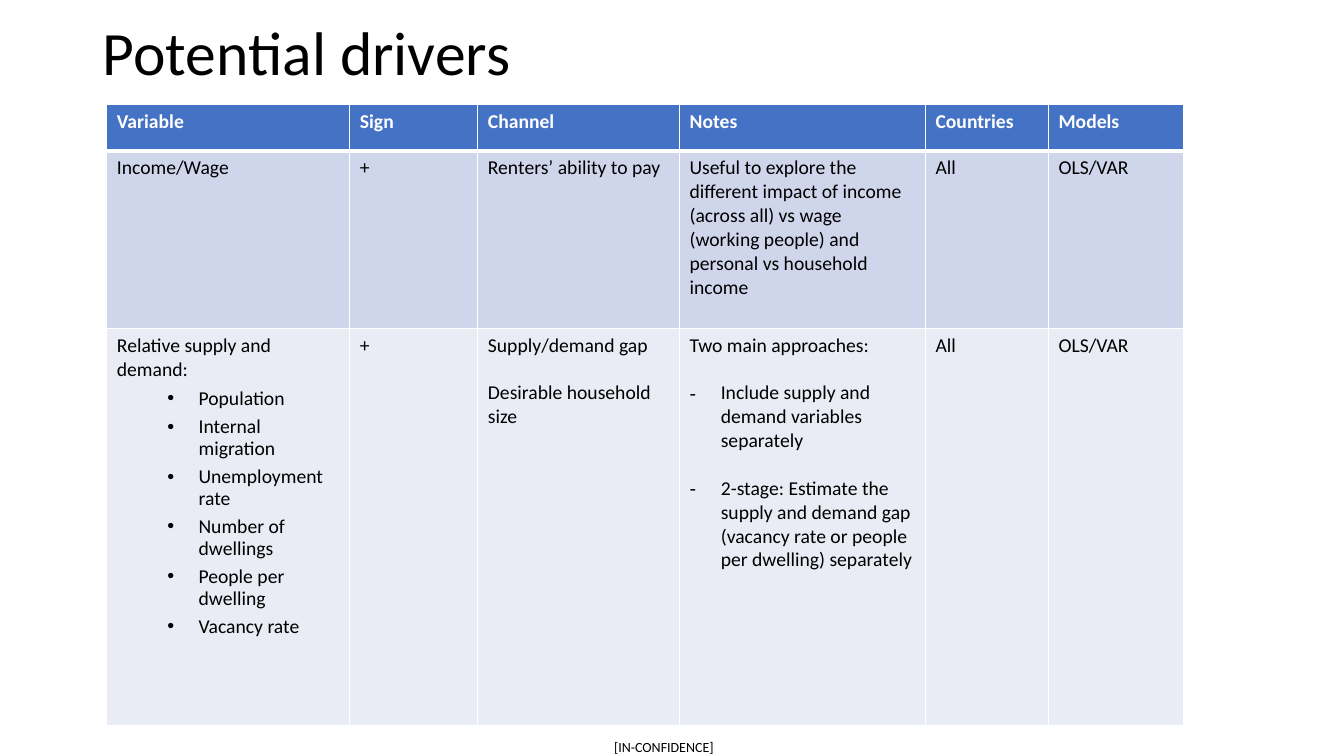
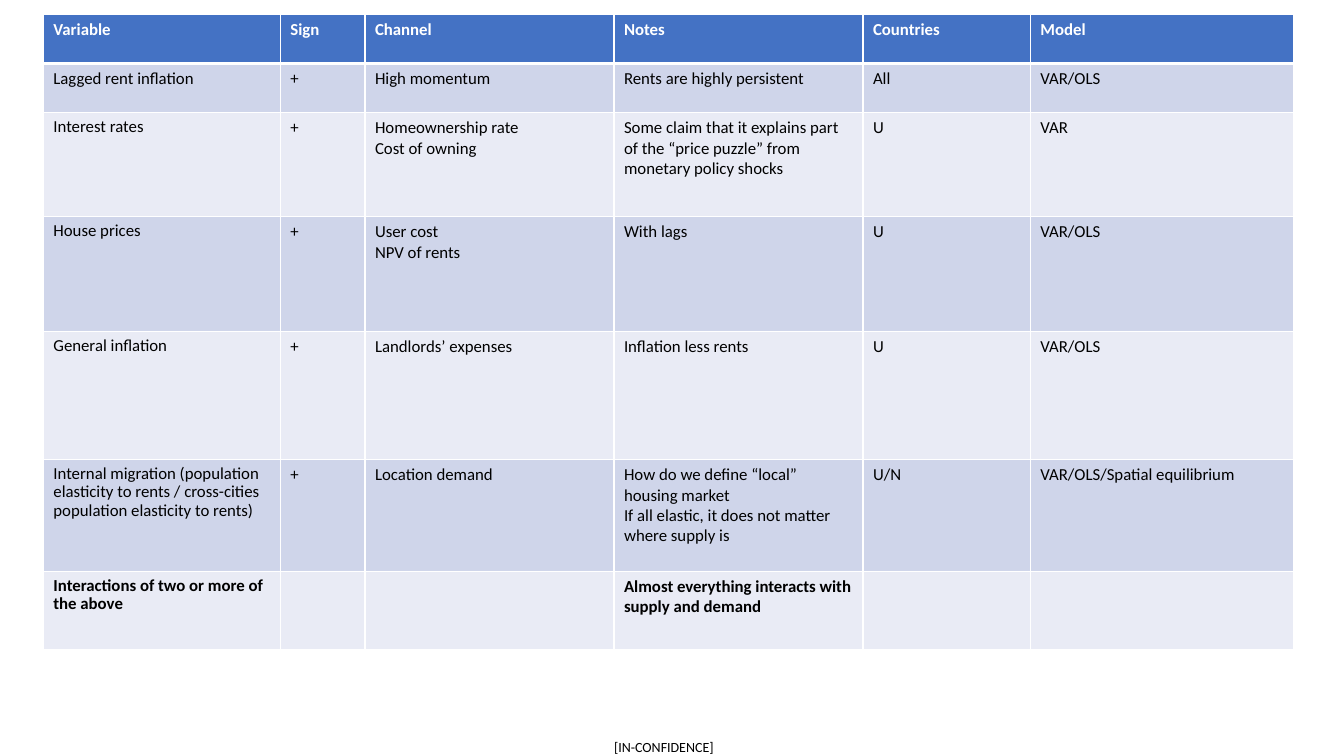
from dataclasses import dataclass

from lxml.etree import SubElement
from pptx import Presentation
from pptx.dml.color import RGBColor
from pptx.enum.text import MSO_ANCHOR, PP_ALIGN
from pptx.oxml.ns import qn
from pptx.util import Inches, Pt


@dataclass(frozen=True)
class Theme:
    font: str = "Calibri"
    ink: str = "000000"
    paper: str = "FFFFFF"
    header: str = "4472C4"
    bands: tuple[str, str] = ("CFD5EA", "E9EBF5")
    title_size: int = 44
    footer_size: int = 10
    rule: int = 1
    header_rule: int = 3


@dataclass(frozen=True)
class Style:
    indent: float = 0
    hanging: float = 0
    level: int = 0
    line_spacing: float | None = None
    space_before: int = 0
    bullet: str = ""


@dataclass(frozen=True)
class Line:
    text: str
    style: Style = Style()


@dataclass(frozen=True)
class DriverTable:
    left: float
    top: float
    columns: tuple[float, ...]
    heights: tuple[float, ...]
    size: int
    rows: tuple[tuple[str | tuple[Line, ...], ...], ...]
    bold_rows: tuple[int, ...] = (0,)


THEME = Theme()
TIGHT = Style(line_spacing=0.9)
SPACED = Style(space_before=17)
DOT = Style(0.81, 0.31, level=1, line_spacing=0.9, space_before=5, bullet="•")
DASH = Style(0.31, 0.31, space_before=17, bullet="-")


def tight(text: str) -> tuple[Line, ...]:
    return (Line(text, TIGHT),)


def lines(*texts: str) -> tuple[Line, ...]:
    return tuple(Line(text) for text in texts)


MAIN_DRIVERS = DriverTable(
    left=1.06,
    top=1.04,
    columns=(2.41, 1.27, 2, 2.44, 1.22, 1.34),
    heights=(0.46, 1.76, 3.94),
    size=14,
    rows=(
        ("Variable", "Sign", "Channel", "Notes", "Countries", "Models"),
        (
            "Income/Wage",
            "+",
            "Renters’ ability to pay",
            "Useful to explore the different impact of income (across all) vs wage "
            "(working people) and personal vs household income",
            "All",
            "OLS/VAR",
        ),
        (
            (
                Line("Relative supply and demand:"),
                Line("Population", DOT),
                Line("Internal migration", DOT),
                Line("Unemployment rate", DOT),
                Line("Number of dwellings", DOT),
                Line("People per dwelling", DOT),
                Line("Vacancy rate", DOT),
            ),
            "+",
            (Line("Supply/demand gap"), Line("Desirable household size", SPACED)),
            (
                Line("Two main approaches:"),
                Line("Include supply and demand variables separately", DASH),
                Line(
                    "2-stage: Estimate the supply and demand gap "
                    "(vacancy rate or people per dwelling) separately",
                    DASH,
                ),
            ),
            "All",
            "OLS/VAR",
        ),
    ),
)

OTHER_DRIVERS = DriverTable(
    left=0.43,
    top=0.14,
    columns=(2.35, 0.84, 2.47, 2.47, 1.66, 2.61),
    heights=(0.49, 0.49, 1.03, 1.14, 1.27, 1.11, 0.78),
    size=12,
    bold_rows=(0, 6),
    rows=(
        ("Variable", "Sign", "Channel", "Notes", "Countries", "Model"),
        ("Lagged rent inflation", "+", "High momentum",
         "Rents are highly persistent", "All", "VAR/OLS"),
        (tight("Interest rates"), "+", lines("Homeownership rate", "Cost of owning"),
         "Some claim that it explains part of the “price puzzle” from "
         "monetary policy shocks", "U", "VAR"),
        (tight("House prices"), "+", lines("User cost", "NPV of rents"),
         "With lags", "U", "VAR/OLS"),
        (tight("General inflation"), "+", "Landlords’ expenses",
         "Inflation less rents", "U", "VAR/OLS"),
        (tight("Internal migration (population elasticity to rents / "
               "cross-cities population elasticity to rents)"),
         "+", "Location demand",
         lines("How do we define “local” housing market",
               "If all elastic, it does not matter where supply is"),
         "U/N", "VAR/OLS/Spatial equilibrium"),
        (tight("Interactions of two or more of the above"), "", "",
         "Almost everything interacts with supply and demand", "", ""),
    ),
)


def add_run(paragraph, text: str, size: int, color: str, bold: bool = False) -> None:
    run = paragraph.add_run()
    run.text = text
    run.font.name = THEME.font
    run.font.size = Pt(size)
    run.font.bold = bold
    run.font.color.rgb = RGBColor.from_string(color)


def apply_style(paragraph, style: Style) -> None:
    paragraph.level = style.level
    if style.line_spacing:
        paragraph.line_spacing = style.line_spacing
    if style.space_before:
        paragraph.space_before = Pt(style.space_before)
    if style.bullet:
        properties = paragraph._p.get_or_add_pPr()
        properties.set("marL", str(Inches(style.indent)))
        properties.set("indent", str(-Inches(style.hanging)))
        SubElement(properties, qn("a:buFont"), typeface="Arial")
        SubElement(properties, qn("a:buChar"), char=style.bullet)


def set_borders(cell, top: int, bottom: int) -> None:
    """Rule all four sides; must run before the fill, which follows in the schema."""
    properties = cell._tc.get_or_add_tcPr()
    widths = {"lnL": THEME.rule, "lnR": THEME.rule, "lnT": top, "lnB": bottom}
    for side, width in widths.items():
        border = SubElement(properties, qn(f"a:{side}"), w=str(Pt(width)))
        fill = SubElement(border, qn("a:solidFill"))
        SubElement(fill, qn("a:srgbClr"), val=THEME.paper)


def fill_cell(cell, content: str | tuple[Line, ...], row: int, size: int, bold: bool) -> None:
    set_borders(
        cell,
        top=THEME.header_rule if row == 1 else THEME.rule,
        bottom=THEME.header_rule if row == 0 else THEME.rule,
    )
    background = THEME.bands[(row - 1) % 2] if row else THEME.header
    cell.fill.solid()
    cell.fill.fore_color.rgb = RGBColor.from_string(background)
    if not content:
        return
    frame = cell.text_frame
    for index, line in enumerate(lines(content) if isinstance(content, str) else content):
        paragraph = frame.add_paragraph() if index else frame.paragraphs[0]
        apply_style(paragraph, line.style)
        add_run(paragraph, line.text, size, THEME.paper if row == 0 else THEME.ink, bold)


def add_driver_table(slide, drivers: DriverTable) -> None:
    table = slide.shapes.add_table(
        len(drivers.rows), len(drivers.columns),
        Inches(drivers.left), Inches(drivers.top),
        Inches(sum(drivers.columns)), Inches(sum(drivers.heights)),
    ).table
    table.horz_banding = False
    for column, width in zip(table.columns, drivers.columns):
        column.width = Inches(width)
    for row, (height, contents) in enumerate(zip(drivers.heights, drivers.rows)):
        table.rows[row].height = Inches(height)
        for column, content in enumerate(contents):
            fill_cell(table.cell(row, column), content, row, drivers.size,
                      row in drivers.bold_rows)


def add_title(slide, text: str) -> None:
    frame = slide.shapes.add_textbox(
        Inches(0.92), Inches(0.05), Inches(11.5), Inches(1)
    ).text_frame
    frame.word_wrap = True
    frame.vertical_anchor = MSO_ANCHOR.MIDDLE
    apply_style(frame.paragraphs[0], TIGHT)
    add_run(frame.paragraphs[0], text, THEME.title_size, THEME.ink)


def add_footer(slide) -> None:
    frame = slide.shapes.add_textbox(
        Inches(6.07), Inches(7.33), Inches(1.03), Inches(0.17)
    ).text_frame
    frame.margin_left = frame.margin_right = frame.margin_top = frame.margin_bottom = 0
    frame.paragraphs[0].alignment = PP_ALIGN.CENTER
    add_run(frame.paragraphs[0], "[IN-CONFIDENCE]", THEME.footer_size, THEME.ink)


def add_driver_slide(presentation, drivers: DriverTable, title: str = "") -> None:
    slide = presentation.slides.add_slide(presentation.slide_layouts[6])
    add_footer(slide)
    if title:
        add_title(slide, title)
    add_driver_table(slide, drivers)


def main() -> None:
    presentation = Presentation()
    presentation.slide_width = Inches(13.33)
    presentation.slide_height = Inches(7.5)
    add_driver_slide(presentation, MAIN_DRIVERS, "Potential drivers")
    add_driver_slide(presentation, OTHER_DRIVERS)
    presentation.save("out.pptx")


if __name__ == "__main__":
    main()
